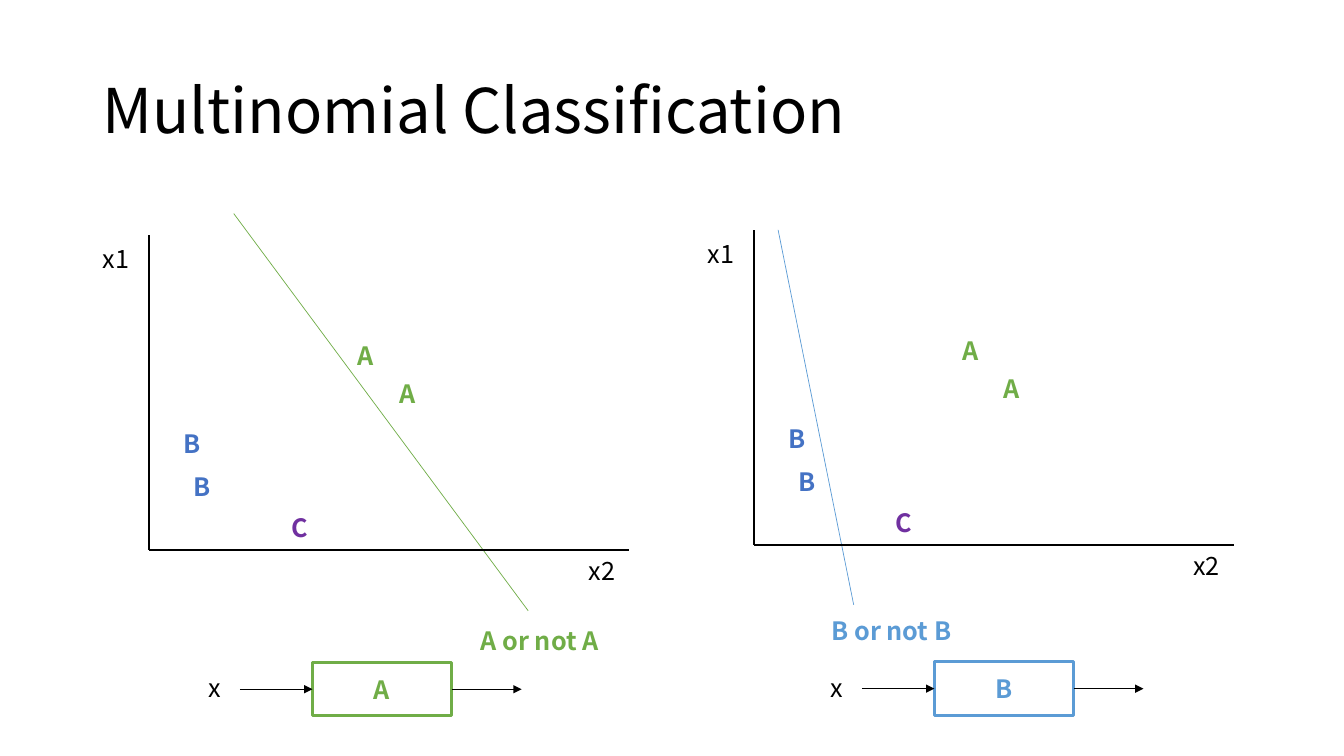
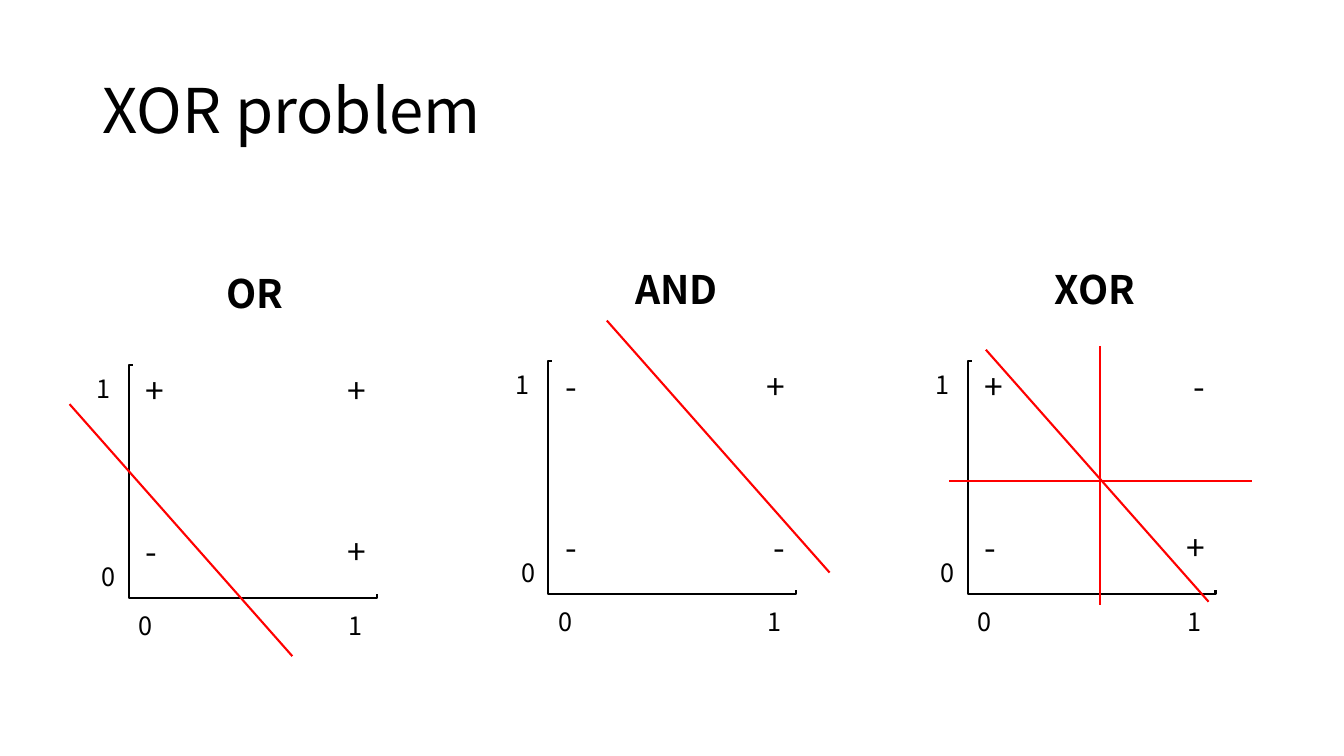
from dataclasses import dataclass
from typing import NamedTuple

from lxml import etree
from pptx import Presentation
from pptx.dml.color import RGBColor
from pptx.enum import shapes, text
from pptx.oxml import ns
from pptx.util import Pt


# Theme: colours, font and type sizes
@dataclass(frozen=True)
class Theme:
    font: str = "Noto Sans CJK KR"
    black: str = "000000"
    white: str = "FFFFFF"
    green: str = "70AD47"
    blue: str = "4472C4"
    sky: str = "5B9BD5"
    purple: str = "7030A0"
    red: str = "FF0000"
    title: float = 44
    heading: float = 28
    sign: float = 24
    label: float = 18
    thin: float = 0.5
    medium: float = 1.5
    thick: float = 2.25
    mask: float = 4.5


THEME = Theme()
LABEL_HEIGHT = 28.8


class Point(NamedTuple):
    x: float
    y: float

    def shift(self, x: float, y: float) -> "Point":
        return Point(self.x + x, self.y + y)


class Size(NamedTuple):
    width: float
    height: float


class Segment(NamedTuple):
    start: Point
    end: Point


class Mark(NamedTuple):
    text: str
    offset: Point
    color: str = THEME.black
    bold: bool = False


@dataclass(frozen=True)
class Classifier:
    letter: str
    color: str
    corner: Point
    boundary: Segment
    caption: Point
    block: Point


@dataclass(frozen=True)
class Gate:
    name: str
    origin: Point
    heading_width: float
    left_signs: str
    right_signs: str
    boundaries: tuple[Segment, ...]


# Drawing tools
def write(frame, lines: str, *, size: float = THEME.label, color: str = THEME.black,
          bold: bool = False, align=text.PP_ALIGN.LEFT, anchor=text.MSO_ANCHOR.TOP,
          gap: float = 0, line_spacing: float = 1.0) -> None:
    """Put one paragraph per text line, with gap points between them."""
    frame.word_wrap = True
    frame.vertical_anchor = anchor
    for index, line in enumerate(lines.split("\n")):
        para = frame.add_paragraph() if index else frame.paragraphs[0]
        para.alignment = align
        para.line_spacing = line_spacing
        para.space_before = Pt(gap if index else 0)
        span = para.add_run()
        span.text = line
        span.font.name = THEME.font
        span.font.size = Pt(size)
        span.font.bold = bold
        span.font.color.rgb = RGBColor.from_string(color)


def add_label(page, lines: str, at: Point, extent: Size, **style) -> None:
    box = page.shapes.add_textbox(Pt(at.x), Pt(at.y), Pt(extent.width), Pt(extent.height))
    write(box.text_frame, lines, **style)
    box.text_frame.auto_size = text.MSO_AUTO_SIZE.SHAPE_TO_FIT_TEXT


def add_box(page, at: Point, extent: Size, color: str, width: float):
    box = page.shapes.add_shape(shapes.MSO_SHAPE.RECTANGLE, Pt(at.x), Pt(at.y),
                                Pt(extent.width), Pt(extent.height))
    box.shadow.inherit = False
    box.fill.solid()
    box.fill.fore_color.rgb = RGBColor.from_string(THEME.white)
    box.line.color.rgb = RGBColor.from_string(color)
    box.line.width = Pt(width)
    return box


def add_line(page, start: Point, end: Point, color: str = THEME.black,
             width: float = THEME.medium, arrow: bool = False) -> None:
    line = page.shapes.add_connector(shapes.MSO_CONNECTOR.STRAIGHT, Pt(start.x),
                                     Pt(start.y), Pt(end.x), Pt(end.y))
    line.line.color.rgb = RGBColor.from_string(color)
    line.line.width = Pt(width)
    properties = line._element.spPr
    if arrow:
        outline = properties.find(ns.qn("a:ln"))
        etree.SubElement(outline, ns.qn("a:tailEnd"), type="triangle")
    etree.SubElement(properties, ns.qn("a:effectLst"))


def add_page(deck, title: str):
    page = deck.slides.add_slide(deck.slide_layouts[5])
    box = page.shapes.title
    box.left, box.top, box.width, box.height = Pt(66), Pt(28.8), Pt(828), Pt(104.4)
    write(box.text_frame, title, size=THEME.title, anchor=text.MSO_ANCHOR.MIDDLE,
          line_spacing=0.9)
    box.text_frame.auto_size = text.MSO_AUTO_SIZE.NONE
    return page


# Multinomial classification: one scatter plot and flow per classifier
MARK_SIZE = Size(36, LABEL_HEIGHT)
BLOCK_SIZE = Size(99.4, 38.2)
MARKS = (
    Mark("A", Point(141.8, -153.4), THEME.green, True),
    Mark("x2", Point(306.7, 0)),
    Mark("A", Point(171.4, -126.7), THEME.green, True),
    Mark("B", Point(17.3, -90.7), THEME.blue, True),
    Mark("B", Point(24.5, -59.8), THEME.blue, True),
    Mark("C", Point(94.3, -31), THEME.purple, True),
    Mark("x1", Point(-40.3, -222.8)),
)
CLASSIFIERS = (
    Classifier("A", THEME.green, Point(106.6, 393.1),
               Segment(Point(167, 152.6), Point(377.3, 436.3)),
               Point(336.2, 442.8), Point(223.2, 473.2)),
    Classifier("B", THEME.sky, Point(538.6, 389.5),
               Segment(Point(555.8, 164.2), Point(609.8, 432)),
               Point(586.8, 435.8), Point(667.4, 472.8)),
)


def draw_plot(page, item: Classifier) -> None:
    add_line(page, *item.boundary, color=item.color, width=THEME.thin)
    add_label(page, f"{item.letter} or not {item.letter}", item.caption,
              Size(117.4, LABEL_HEIGHT), color=item.color, bold=True)
    add_line(page, item.corner.shift(0, -225), item.corner)
    add_line(page, item.corner, item.corner.shift(342.7, 0))
    for mark in MARKS:
        add_label(page, mark.text, item.corner.shift(*mark.offset), MARK_SIZE,
                  color=mark.color, bold=mark.bold)


def draw_flow(page, item: Classifier) -> None:
    box = add_box(page, item.block, BLOCK_SIZE, item.color, THEME.thick)
    write(box.text_frame, item.letter, color=item.color, bold=True,
          align=text.PP_ALIGN.CENTER, anchor=text.MSO_ANCHOR.MIDDLE)
    entry = item.block.shift(0, BLOCK_SIZE.height / 2)
    leave = entry.shift(BLOCK_SIZE.width, 0)
    add_line(page, entry.shift(-51.8, 0), entry, width=THEME.thin, arrow=True)
    add_line(page, leave, leave.shift(50, 0), width=THEME.thin, arrow=True)
    add_label(page, "x", item.block.shift(-87.8, 3.6), MARK_SIZE,
              align=text.PP_ALIGN.CENTER)


# XOR problem: three gates, boundaries measured from each gate's top left
GATE_LEFT, GATE_PITCH, GATE_TOP = 92.2, 299.5, 257.8
PLOT_SIZE = Size(177.1, 166.3)
SIGN_SIZE = Size(83.5, 152.6)
DIGIT_SIZE = Size(26.6, LABEL_HEIGHT)
SIGN_GAP = 86.4
DIGITS = (
    Mark("0", Point(0, 172)),
    Mark("0", Point(-26.6, 136.8)),
    Mark("1", Point(-30.2, 2.2)),
    Mark("1", Point(149.8, 172)),
)


def diagonal(x: float, y: float) -> Segment:
    return Segment(Point(x, y), Point(x + 159.1, y + 180))


GATES = (
    Gate("OR", Point(GATE_LEFT, GATE_TOP + 2.8), 64.8, "+\n-", "+\n+",
         (diagonal(-42.5, 28.1),)),
    Gate("AND", Point(GATE_LEFT + GATE_PITCH, GATE_TOP), 79.2, "-\n-", "+\n-",
         (diagonal(41.8, -28.8),)),
    Gate("XOR", Point(GATE_LEFT + 2 * GATE_PITCH, GATE_TOP), 79.2, "+\n-", "-\n+",
         (diagonal(13, -8),
          Segment(Point(94.3, -10.8), Point(94.3, 174.2)),
          Segment(Point(-13, 85.7), Point(203, 85.7)))),
)


def draw_gate(page, gate: Gate) -> None:
    # The white box leaves only the left and bottom axes of the black one
    add_box(page, gate.origin, PLOT_SIZE, THEME.black, THEME.medium)
    add_box(page, gate.origin.shift(5, -10.8), Size(178.6, 172.1), THEME.white, THEME.mask)
    add_label(page, gate.left_signs, gate.origin.shift(5, 0), SIGN_SIZE,
              size=THEME.sign, gap=SIGN_GAP)
    add_label(page, gate.right_signs, gate.origin.shift(92.9, 0), SIGN_SIZE,
              size=THEME.sign, gap=SIGN_GAP, align=text.PP_ALIGN.RIGHT)
    for digit in DIGITS:
        add_label(page, digit.text, gate.origin.shift(*digit.offset), DIGIT_SIZE)
    for boundary in gate.boundaries:
        add_line(page, gate.origin.shift(*boundary.start),
                 gate.origin.shift(*boundary.end), color=THEME.red)
    add_label(page, gate.name, gate.origin.shift(94.7 - gate.heading_width / 2, -72),
              Size(gate.heading_width, 41), size=THEME.heading, bold=True)


# Build the deck
def main() -> None:
    deck = Presentation()
    deck.slide_width, deck.slide_height = Pt(960), Pt(540)

    page = add_page(deck, "Multinomial Classification")
    for item in CLASSIFIERS:
        draw_plot(page, item)
        draw_flow(page, item)

    page = add_page(deck, "XOR problem")
    for gate in GATES:
        draw_gate(page, gate)

    deck.save("out.pptx")


main()
